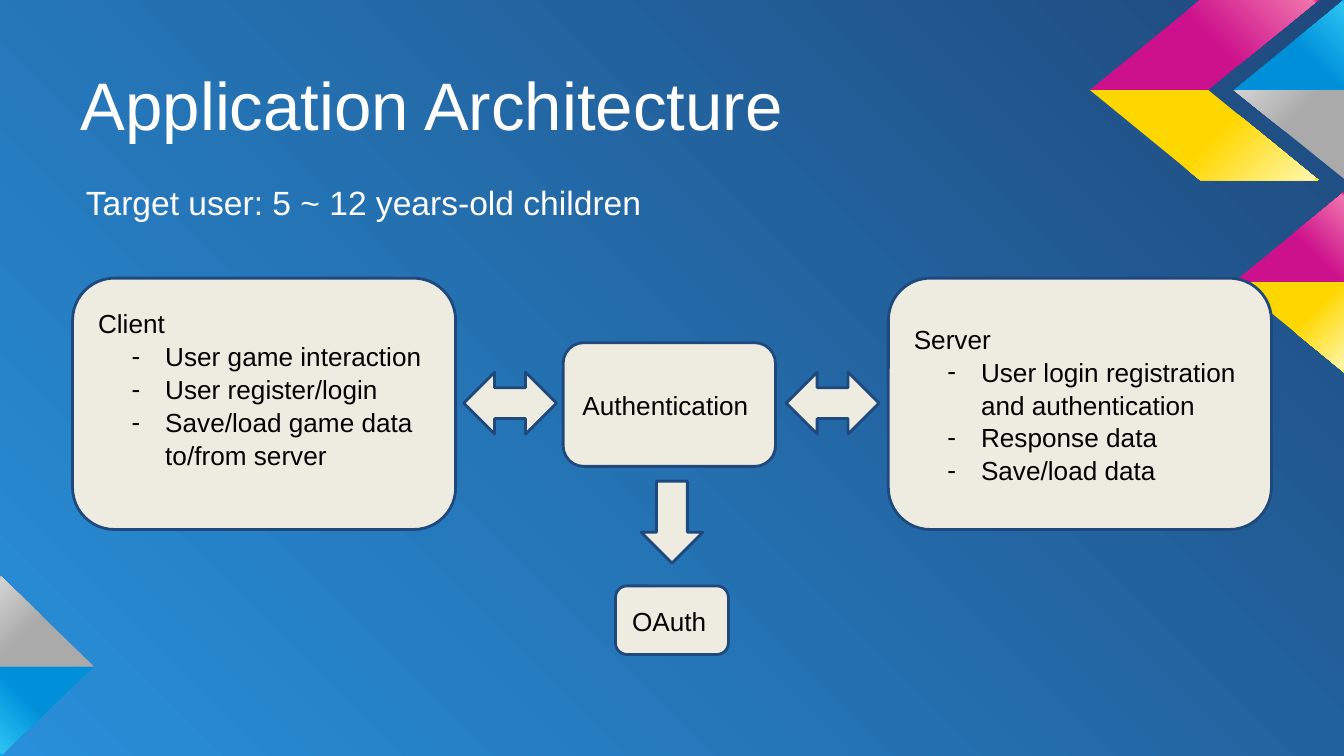
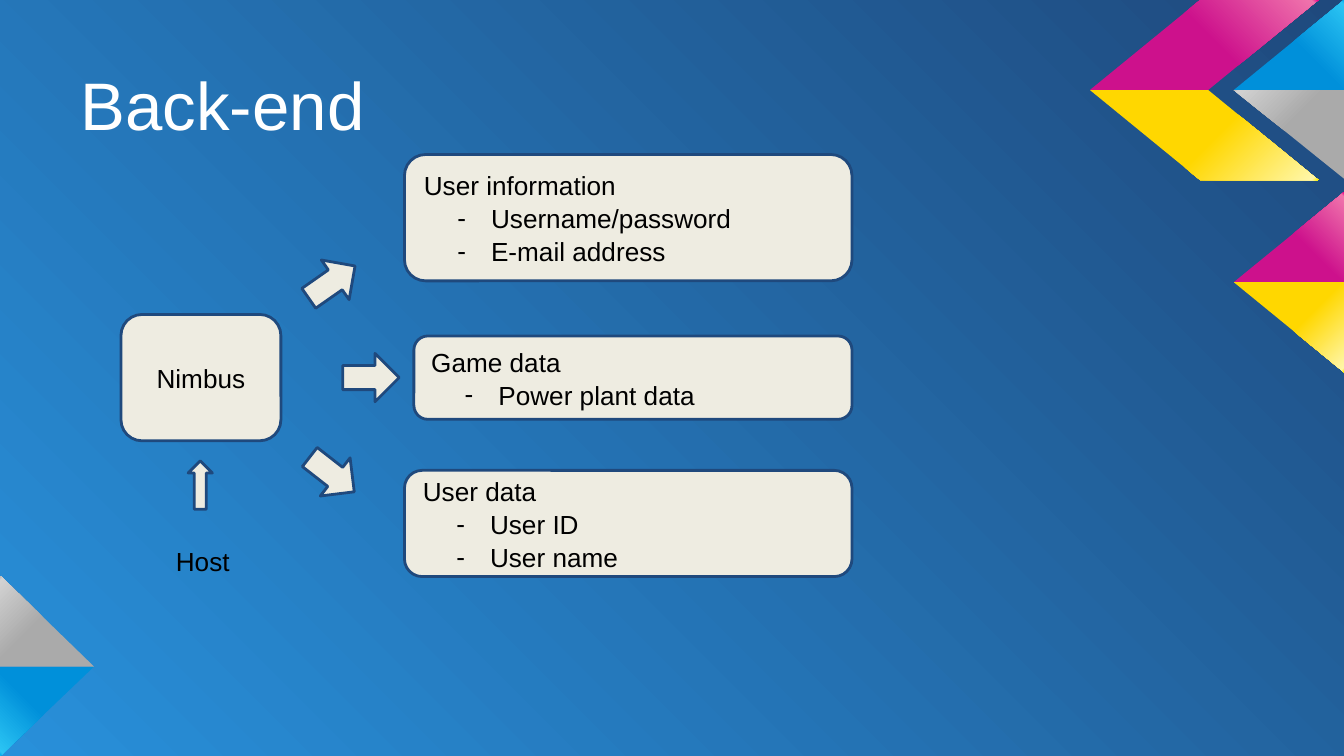
"""Build two slides on the architecture and back-end of a children's game."""
from lxml import etree
from pptx import Presentation
from pptx.dml.color import RGBColor
from pptx.enum.shapes import MSO_SHAPE
from pptx.enum.text import MSO_ANCHOR, MSO_AUTO_SIZE, PP_ALIGN
from pptx.oxml.ns import qn
from pptx.util import Inches, Pt

ROUNDED = MSO_SHAPE.ROUNDED_RECTANGLE
LEFT_RIGHT_ARROW = MSO_SHAPE.LEFT_RIGHT_ARROW
RIGHT_ARROW = MSO_SHAPE.RIGHT_ARROW
DOWN_ARROW = MSO_SHAPE.DOWN_ARROW
UP_ARROW = MSO_SHAPE.UP_ARROW
TOP, MIDDLE, BOTTOM = MSO_ANCHOR.TOP, MSO_ANCHOR.MIDDLE, MSO_ANCHOR.BOTTOM
LEFT, CENTER = PP_ALIGN.LEFT, PP_ALIGN.CENTER
NO_AUTOFIT = MSO_AUTO_SIZE.NONE

FONT = "Arial"
WHITE, BLACK = "FFFFFF", "000000"
NAVY, SKY, CREAM = "1F497D", "2890DA", "EEECE1"
BLUE = ("0090DA", "2BC4F3", "00AEEE")
GREY = ("AAAAAA", "D2D2D2", "B9B9B9")
PINK = ("CD118C", "F074AC", "EB008B")
YELLOW = ("FFD700", "FFF7A9", "FFF100")

RIBBONS = [
    (BLUE, 135, [(0.7, 4.96), (0, 4.96), (0, 5.62), (0.01, 5.62)]),
    (GREY, 225, [(0.7, 4.96), (0.01, 4.29), (0, 4.29), (0, 4.96)]),
    (BLUE, 315, [(10, 0), (9.18, 0.67), (10, 0.67)]),
    (GREY, 225, [(9.18, 0.67), (10, 1.33), (10, 0.67)]),
    (PINK, 315, [(8.99, 0.67), (9.81, 0), (8.93, 0), (8.11, 0.67)]),
    (PINK, 315, [(10, 1.43), (9.18, 2.1), (10, 2.1)]),
    (YELLOW, 45, [(9.18, 2.1), (10, 2.77), (10, 2.1)]),
    (YELLOW, 45, [(8.99, 0.67), (9.81, 1.34), (8.93, 1.34), (8.11, 0.67)]),
]


def write_text(shape, heading, bullets=(), size=14, color=BLACK, align=LEFT,
               anchor=MIDDLE, spacing=1.05, bottom=0.1):
    """Write a heading and dashed bullets into a shape."""
    frame = shape.text_frame
    frame.word_wrap = True
    frame.auto_size = NO_AUTOFIT
    frame.vertical_anchor = anchor
    frame.margin_left = frame.margin_right = frame.margin_top = Inches(0.1)
    frame.margin_bottom = Inches(bottom)
    for index, text in enumerate([heading, *bullets]):
        paragraph = frame.add_paragraph() if index else frame.paragraphs[0]
        paragraph.alignment = align
        paragraph.line_spacing = spacing
        run = paragraph.add_run()
        run.text = text
        run.font.name = FONT
        run.font.size = Pt(size)
        run.font.color.rgb = RGBColor.from_string(color)
        if index:
            properties = paragraph.element.get_or_add_pPr() if hasattr(
                paragraph, "element") else run.font._element.getparent().getparent().get_or_add_pPr()
            properties.set("marL", str(Inches(0.5)))
            properties.set("indent", str(Inches(-0.25)))
            bullet_color = etree.SubElement(properties, qn("a:buClr"))
            etree.SubElement(bullet_color, qn("a:srgbClr"), val=color)
            etree.SubElement(properties, qn("a:buFont"), typeface=FONT)
            etree.SubElement(properties, qn("a:buChar"), char="-")


def add_block(slide, kind, left, top, width, height, rotation=0):
    """Add a cream shape with a navy outline."""
    shape = slide.shapes.add_shape(
        kind, Inches(left), Inches(top), Inches(width), Inches(height))
    shape.rotation = rotation
    shape.shadow.inherit = False
    shape.fill.solid()
    shape.fill.fore_color.rgb = RGBColor.from_string(CREAM)
    shape.line.color.rgb = RGBColor.from_string(NAVY)
    shape.line.width = Pt(1.5)
    return shape


presentation = Presentation()
presentation.slide_width = Inches(10)
presentation.slide_height = Inches(5.625)
layout = presentation.slide_layouts[5]
architecture = presentation.slides.add_slide(layout)
backend = presentation.slides.add_slide(layout)

layout.background.fill.gradient()
gradients = [(layout.element, [(0, SKY), (100, NAVY)], None)]
for number, (colors, angle, points) in enumerate(RIBBONS):
    corners = [(Inches(x), Inches(y)) for x, y in points]
    builder = architecture.shapes.build_freeform(*corners[0])
    builder.add_line_segments(corners[1:], close=True)
    ribbon = builder.convert_to_shape()
    ribbon.shadow.inherit = False
    ribbon.line.fill.background()
    ribbon.fill.gradient()
    ribbon.element.xpath(".//p:cNvPr")[0].set("id", str(20 + number))
    layout.shapes.element.append(ribbon.element)
    base, glow, edge = colors
    stops = [(0, base), (54, base), (98, glow), (100, edge)]
    gradients.append((ribbon.element, stops, angle))

for owner, stops, angle in gradients:
    gradient = owner.xpath(".//a:gradFill")[0]
    gradient.clear()
    stop_list = etree.SubElement(gradient, qn("a:gsLst"))
    for position, color in stops:
        stop = etree.SubElement(stop_list, qn("a:gs"), pos=str(position * 1000))
        etree.SubElement(stop, qn("a:srgbClr"), val=color)
    if angle is None:
        circle = etree.SubElement(gradient, qn("a:path"), path="circle")
        etree.SubElement(circle, qn("a:fillToRect"), t="100000", r="100000")
    else:
        etree.SubElement(gradient, qn("a:lin"), ang=str(angle * 60000), scaled="0")

for slide, heading in [(architecture, "Application Architecture"), (backend, "Back-end")]:
    title = slide.shapes.title
    title.left, title.top = Inches(0.5), Inches(0.23)
    title.width, title.height = Inches(7.52), Inches(0.94)
    write_text(title, heading, size=36, color=WHITE, anchor=BOTTOM, spacing=1.0)

client = add_block(architecture, ROUNDED, 0.54, 2.07, 2.85, 1.87)
write_text(client, "Client", ["User game interaction", "User register/login",
                              "Save/load game data to/from server"], bottom=0.33)
server = add_block(architecture, ROUNDED, 6.61, 2.07, 2.85, 1.87)
write_text(server, "Server", ["User login registration and authentication",
                              "Response data", "Save/load data"])
authentication = add_block(architecture, ROUNDED, 4.19, 2.55, 1.58, 0.92)
write_text(authentication, "Authentication")
for left in (3.45, 5.85):
    add_block(architecture, LEFT_RIGHT_ARROW, left, 2.77, 0.69, 0.46)
add_block(architecture, DOWN_ARROW, 4.77, 3.58, 0.46, 0.61)
oauth = add_block(architecture, ROUNDED, 4.58, 4.36, 0.84, 0.51)
write_text(oauth, "OAuth")
audience = architecture.shapes.add_textbox(
    Inches(0.54), Inches(1.24), Inches(9.15), Inches(0.64))
write_text(audience, "Target user: 5 ~ 12 years-old children",
           size=18, color=WHITE, anchor=TOP)

platform = add_block(backend, ROUNDED, 0.9, 2.34, 1.19, 0.94)
write_text(platform, "Nimbus", align=CENTER)
add_block(backend, UP_ARROW, 1.4, 3.43, 0.18, 0.36)
host = backend.shapes.add_textbox(Inches(1.21), Inches(3.95), Inches(0.88), Inches(0.4))
write_text(host, "Host", anchor=TOP)
for left, top, rotation in [(2.26, 1.92, 325), (2.55, 2.63, 0), (2.26, 3.35, 38)]:
    add_block(backend, RIGHT_ARROW, left, top, 0.42, 0.36, rotation)

STORES = [
    (3.01, 1.15, 0.94, "User information", ["Username/password", "E-mail address"]),
    (3.08, 2.5, 0.62, "Game data", ["Power plant data"]),
    (3.01, 3.5, 0.79, "User data", ["User ID", "User name"]),
]
for left, top, height, heading, bullets in STORES:
    store = add_block(backend, ROUNDED, left, top, 6.34 - left, height)
    write_text(store, heading, bullets)

presentation.save("out.pptx")
